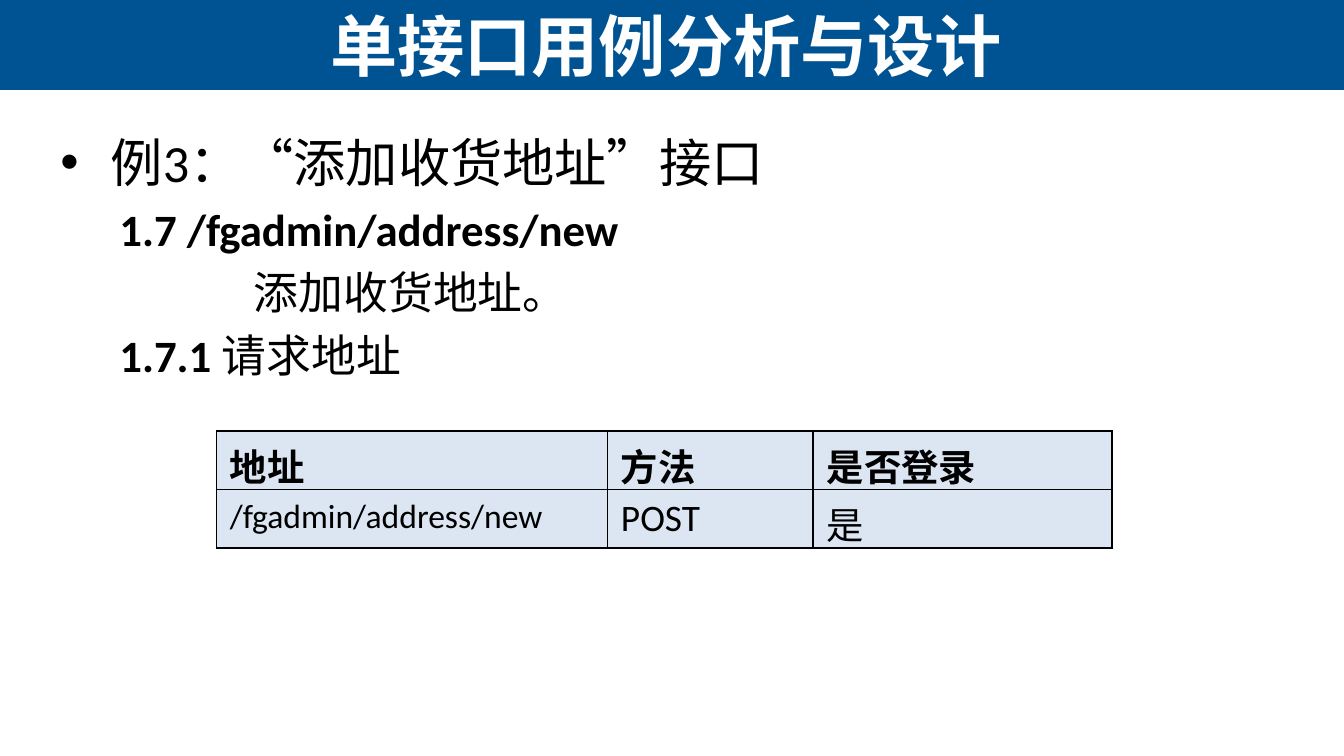
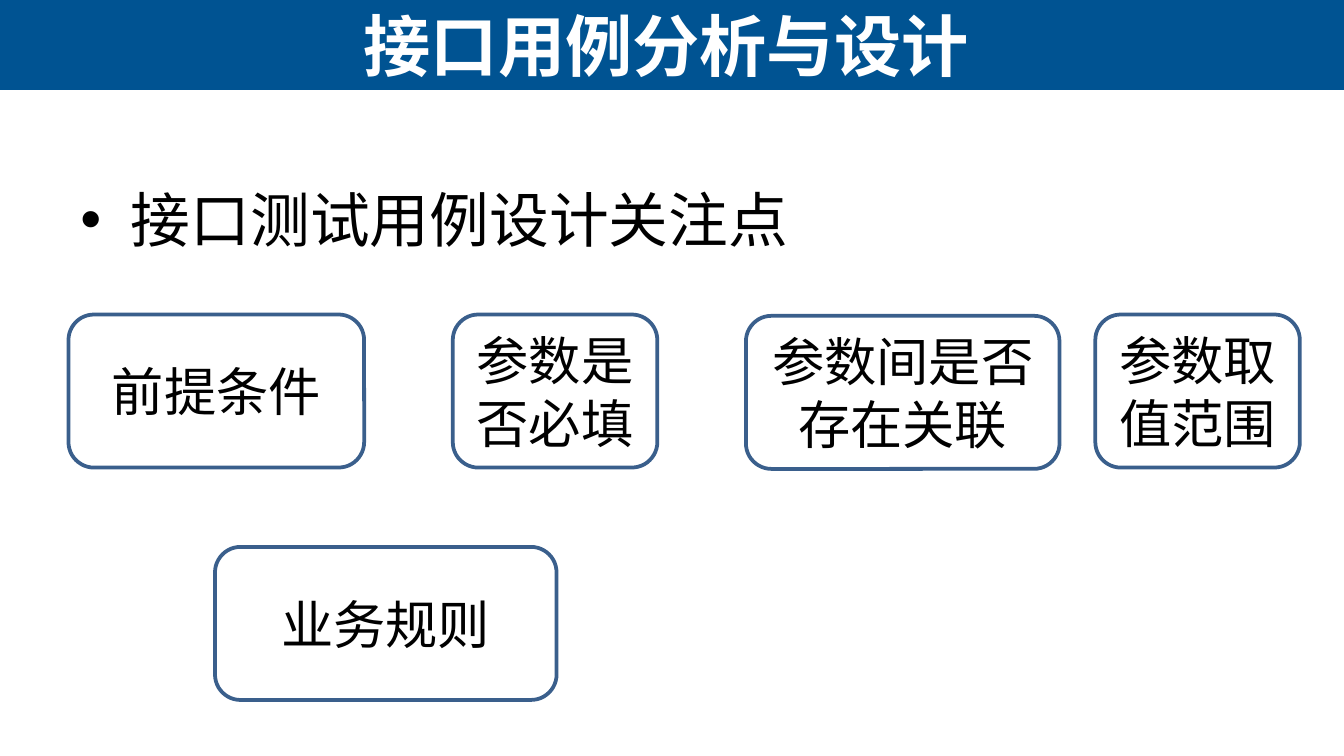
from lxml import etree
from pptx import Presentation
from pptx.dml.color import RGBColor
from pptx.enum import shapes, text
from pptx.oxml import ns
from pptx.util import Pt

COLOURS = {
    "band": "005392",
    "title": "FFFFFF",
    "text": "000000",
    "cell": "DCE6F2",
    "outline": "3A5F8C",
}
BAND_HEIGHT = 48.2


def format_text(para, size, bold=False, font="Calibri", colour="text"):
    for span in para.runs:
        span.font.name = font
        span.font.size = Pt(size)
        span.font.bold = bold
        span.font.color.rgb = RGBColor.from_string(COLOURS[colour])


def add_page(title, bullet, size, left, top, width):
    """Add a titled page and return it with the frame holding its bullet."""
    page = deck.slides.add_slide(layout)
    heading = page.shapes.title
    heading.left, heading.top = Pt(1.5), Pt(0)
    heading.width, heading.height = Pt(710.6), Pt(BAND_HEIGHT)
    frame = heading.text_frame
    frame.text = title
    frame.auto_size = text.MSO_AUTO_SIZE.NONE
    frame.vertical_anchor = text.MSO_ANCHOR.MIDDLE
    frame.paragraphs[0].alignment = text.PP_ALIGN.CENTER
    format_text(frame.paragraphs[0], 36, True, "Arial", "title")

    body = page.shapes.add_textbox(Pt(left), Pt(top), Pt(width), Pt(267))
    body.text_frame.word_wrap = True
    para = body.text_frame.paragraphs[0]
    para.text = bullet
    para.space_before = Pt(size * 0.2)
    format_text(para, size)
    props = para._p.get_or_add_pPr()
    props.set("marL", str(Pt(27)))
    props.set("indent", str(Pt(-27)))
    etree.SubElement(props, ns.qn("a:buFont"), typeface="Arial")
    etree.SubElement(props, ns.qn("a:buChar"), char="•")
    return page, body.text_frame


deck = Presentation()
deck.slide_width, deck.slide_height = Pt(720), Pt(405)
layout = deck.slide_layouts.get_by_name("Title Only")

# Slide 1: request address
page, frame = add_page("单接口用例分析与设计", "例3：“添加收货地址”接口", 28, 25.2, 66.2, 683.3)

# The band moves to the layout, behind every title
band = page.shapes.add_shape(shapes.MSO_SHAPE.RECTANGLE, 0, 0, deck.slide_width, Pt(BAND_HEIGHT))
band.shadow.inherit = False
band.fill.solid()
band.fill.fore_color.rgb = RGBColor.from_string(COLOURS["band"])
band.line.fill.background()
layout.placeholders[0].element.addprevious(band.element)

details = [
    (31.7, [("1.7 /fgadmin/address/new", True)]),
    (103.7, [("添加收货地址。", False)]),
    (31.7, [("1.7.1 ", True), ("请求地址", False)]),
]
for indent, spans in details:
    para = frame.add_paragraph()
    para.level = 1
    para.space_before = Pt(4.8)
    for words, bold in spans:
        para.add_run().text = words
    format_text(para, 24)
    for span, (words, bold) in zip(para.runs, spans):
        span.font.bold = bold
    props = para._p.get_or_add_pPr()
    props.set("marL", str(Pt(indent)))
    props.set("indent", "0")

rows = [
    [("地址", 20), ("方法", 20), ("是否登录", 20)],
    [("/fgadmin/address/new", 18), ("POST", 20), ("是", 20)],
]
widths = [209.5, 110.2, 160]
row_height = 29.5
table = page.shapes.add_table(
    len(rows), len(widths), Pt(116), Pt(231), Pt(sum(widths)), Pt(row_height * len(rows))
).table
for column, width in zip(table.columns, widths):
    column.width = Pt(width)
for row_index, row in enumerate(rows):
    table.rows[row_index].height = Pt(row_height)
    for column_index, (words, size) in enumerate(row):
        cell = table.cell(row_index, column_index)
        cell.text = words
        format_text(cell.text_frame.paragraphs[0], size, bold=row_index == 0)
        props = cell._tc.get_or_add_tcPr()
        for side in ("lnL", "lnR", "lnT", "lnB"):
            border = etree.SubElement(props, ns.qn(f"a:{side}"), w=str(Pt(1)))
            fill = etree.SubElement(border, ns.qn("a:solidFill"))
            etree.SubElement(fill, ns.qn("a:srgbClr"), val=COLOURS["text"])
        cell.fill.solid()
        cell.fill.fore_color.rgb = RGBColor.from_string(COLOURS["cell"])

# Slide 2: points to watch
page, frame = add_page("接口用例分析与设计", "接口测试用例设计关注点", 32, 36, 94.3, 648)
points = [
    ("前提条件", 36.7, 168.5, 158.4),
    ("参数是否必填", 242.6, 168.5, 109.6),
    ("参数间是否存在关联", 399.6, 169.2, 168),
    ("参数取值范围", 586.8, 168.5, 109.6),
    ("业务规则", 115.2, 293, 183),
]
for words, left, top, width in points:
    box = page.shapes.add_shape(
        shapes.MSO_SHAPE.ROUNDED_RECTANGLE, Pt(left), Pt(top), Pt(width), Pt(82)
    )
    box.shadow.inherit = False
    box.fill.background()
    box.line.color.rgb = RGBColor.from_string(COLOURS["outline"])
    box.line.width = Pt(2)
    box.text_frame.text = words
    box.text_frame.word_wrap = True
    box.text_frame.vertical_anchor = text.MSO_ANCHOR.MIDDLE
    para = box.text_frame.paragraphs[0]
    para.alignment = text.PP_ALIGN.CENTER
    format_text(para, 28)

deck.save("out.pptx")
